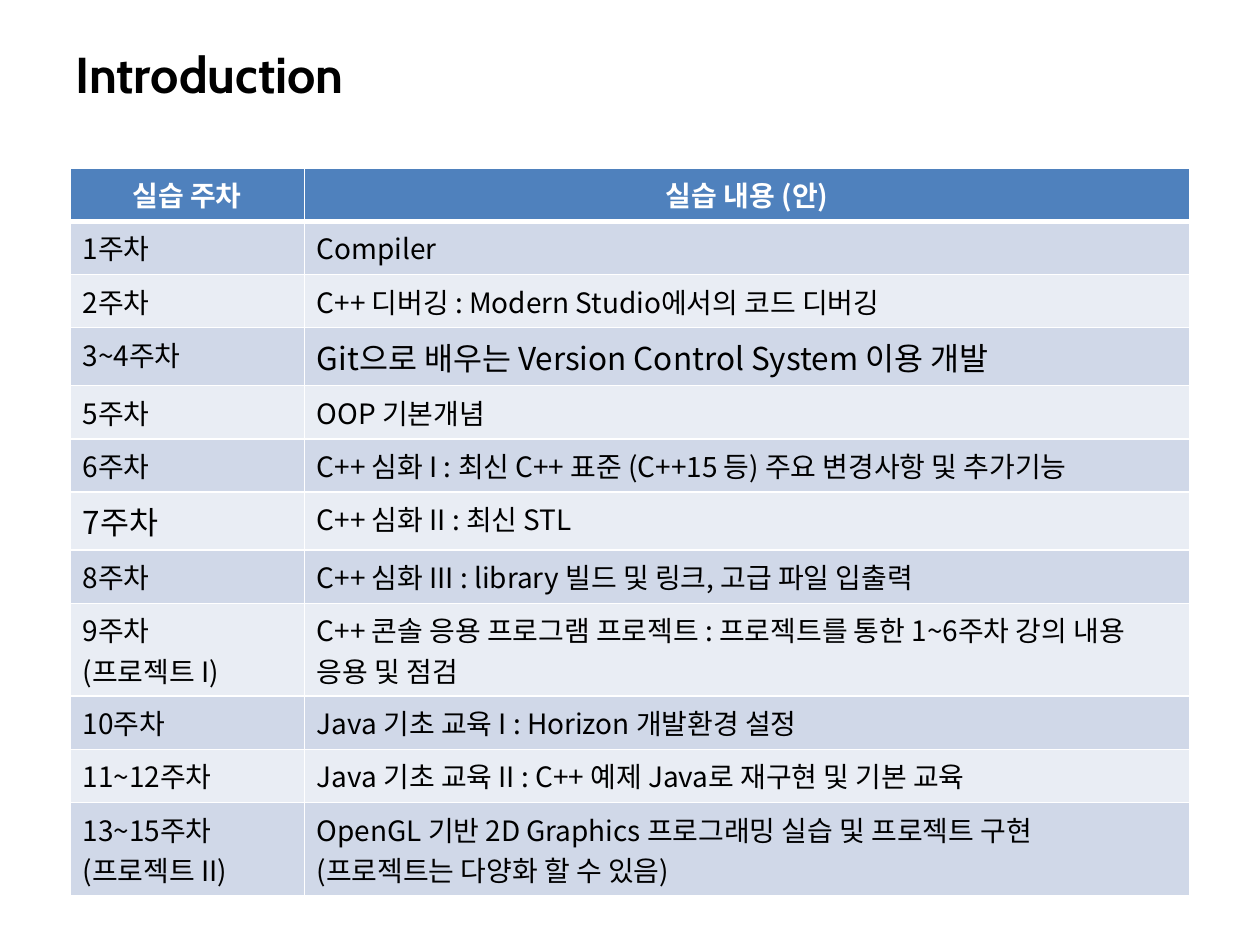
from dataclasses import dataclass

from lxml import etree
from pptx import Presentation
from pptx.dml.color import RGBColor
from pptx.enum import text
from pptx.oxml import ns
from pptx.util import Pt


@dataclass(frozen=True)
class Theme:
    black: str = "000000"
    white: str = "FFFFFF"
    header: str = "4F81BD"
    bands: tuple = ("D0D8E8", "E9EDF4")
    title_font: str = "Cabin"
    body_font: str = "Noto Sans CJK KR"
    title_size: float = 28.8
    body_size: float = 16
    large_size: float = 18


THEME = Theme()

# Week, content; a newline starts a new paragraph
SCHEDULE = [
    ("실습 주차", "실습 내용 (안)"),
    ("1주차", "Compiler"),
    ("2주차", "C++ 디버깅 : Modern Studio에서의 코드 디버깅"),
    ("3~4주차", "Git으로 배우는 Version Control System 이용 개발"),
    ("5주차", "OOP 기본개념"),
    ("6주차", "C++ 심화 I : 최신 C++ 표준 (C++15 등) 주요 변경사항 및 추가기능"),
    ("7주차", "C++ 심화 II : 최신 STL"),
    ("8주차", "C++ 심화 III : library 빌드 및 링크, 고급 파일 입출력"),
    ("9주차\n(프로젝트 I)",
     "C++ 콘솔 응용 프로그램 프로젝트 : 프로젝트를 통한 1~6주차 강의 내용 응용 및 점검"),
    ("10주차", "Java 기초 교육 I : Horizon 개발환경 설정"),
    ("11~12주차", "Java 기초 교육 II : C++ 예제 Java로 재구현 및 기본 교육"),
    ("13~15주차\n(프로젝트 II)",
     "OpenGL 기반 2D Graphics 프로그래밍 실습 및 프로젝트 구현\n(프로젝트는 다양화 할 수 있음)"),
]
LARGE_CELLS = {(3, 1), (6, 0)}  # row, column
SINGLE_ROW, LARGE_ROW, DOUBLE_ROW = 30.4, 33.2, 53.1


def write(tf, content, *, font=THEME.body_font, size=THEME.body_size,
          color=THEME.black, bold=False, align=text.PP_ALIGN.LEFT):
    tf.word_wrap = True
    for i, line in enumerate(content.split("\n")):
        p = tf.add_paragraph() if i else tf.paragraphs[0]
        p.alignment = align
        r = p.add_run()
        r.text = line
        r.font.name, r.font.size, r.font.bold = font, Pt(size), bold
        r.font.color.rgb = RGBColor.from_string(color)
        r_pr = r.font._element
        r_pr.set("kern", "0")
        etree.SubElement(r_pr, ns.qn("a:ea"), typeface=font)


def set_borders(cell, color, top=1, bottom=1):
    tc_pr = cell._tc.get_or_add_tcPr()
    widths = {"lnL": 1, "lnR": 1, "lnT": top, "lnB": bottom}
    for i, (side, width) in enumerate(widths.items()):
        ln = etree.Element(ns.qn(f"a:{side}"), w=str(Pt(width)))
        fill = etree.SubElement(ln, ns.qn("a:solidFill"))
        etree.SubElement(fill, ns.qn("a:srgbClr"), val=color)
        tc_pr.insert(i, ln)


def row_height(i):
    if "\n" in SCHEDULE[i][0]:
        return DOUBLE_ROW
    return LARGE_ROW if any(row == i for row, _ in LARGE_CELLS) else SINGLE_ROW


def add_title(s, x, y, w, h):
    tf = s.shapes.add_textbox(Pt(x), Pt(y), Pt(w), Pt(h)).text_frame
    tf.vertical_anchor = text.MSO_ANCHOR.MIDDLE
    write(tf, "Introduction", font=THEME.title_font, size=THEME.title_size, bold=True)


def add_schedule(s, x, y, w, week_w):
    heights = [row_height(i) for i in range(len(SCHEDULE))]
    table = s.shapes.add_table(len(SCHEDULE), 2, Pt(x), Pt(y), Pt(w),
                               Pt(sum(heights))).table
    table.columns[0].width, table.columns[1].width = Pt(week_w), Pt(w - week_w)
    for i, row in enumerate(SCHEDULE):
        table.rows[i].height = Pt(heights[i])
        is_header = i == 0
        for j, content in enumerate(row):
            cell = table.cell(i, j)
            if not is_header:
                cell.margin_right = Pt(18)
            set_borders(cell, THEME.white, top=3 if i == 1 else 1,
                        bottom=3 if is_header else 1)
            cell.fill.solid()
            cell.fill.fore_color.rgb = RGBColor.from_string(
                THEME.header if is_header else THEME.bands[(i - 1) % 2])
            write(cell.text_frame, content, bold=is_header,
                  size=THEME.large_size if (i, j) in LARGE_CELLS else THEME.body_size,
                  color=THEME.white if is_header else THEME.black,
                  align=text.PP_ALIGN.CENTER if is_header else text.PP_ALIGN.LEFT)


def main():
    prs = Presentation()
    prs.slide_width, prs.slide_height = Pt(720), Pt(540)
    s = prs.slides.add_slide(prs.slide_layouts[6])
    add_title(s, 36, 21.6, 648, 40.3)
    add_schedule(s, 40, 96, 640, week_w=133.9)
    prs.save("out.pptx")


if __name__ == "__main__":
    main()
